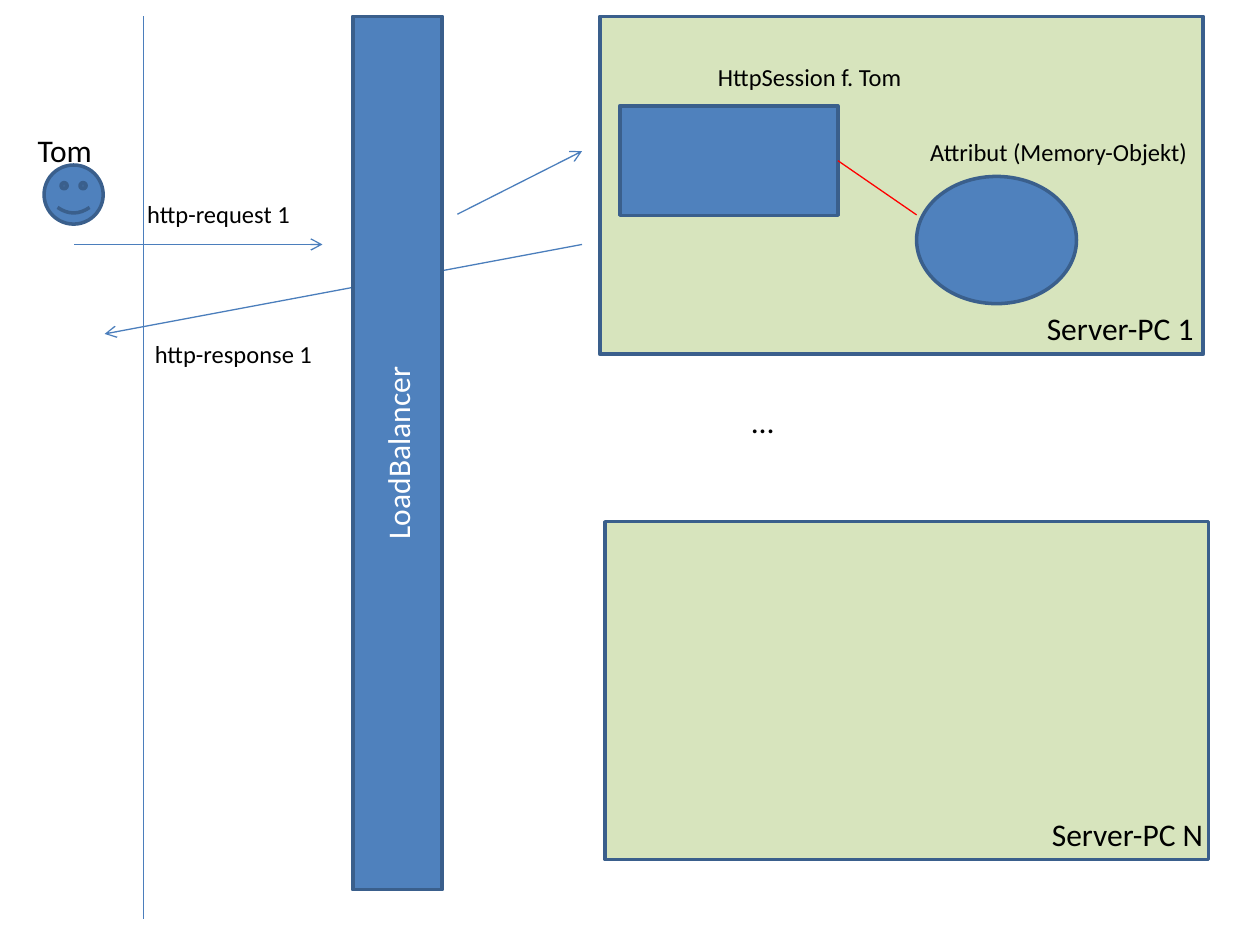
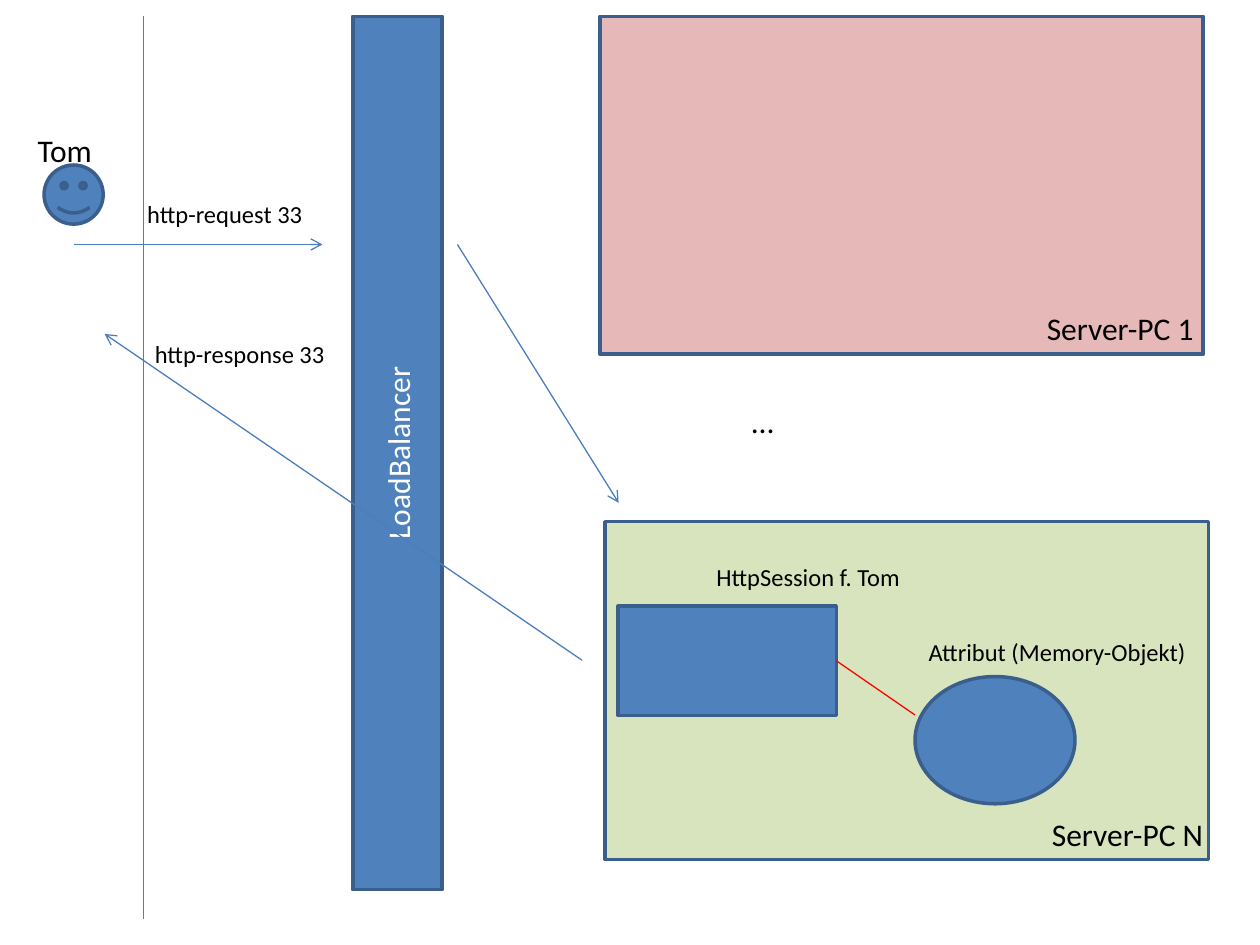
from lxml.etree import SubElement
from pptx import Presentation
from pptx.dml.color import RGBColor
from pptx.enum.shapes import MSO_CONNECTOR, MSO_SHAPE
from pptx.enum.text import MSO_ANCHOR, MSO_AUTO_SIZE, PP_ALIGN
from pptx.oxml.ns import qn
from pptx.util import Pt

BLUE = "4F81BD"
OUTLINE = "3A5F8C"
LINE = "4B7EBC"
GREEN = "D7E4BD"
PINK = "E6B9B8"
RED = "FF0000"
BLACK = "000000"
WHITE = "FFFFFF"

SERVER_SIZE = (344.9, 193)
SERVER_ONE = (342.7, 9.4)
SERVER_N = (345.6, 298.1)
RESPONSE_END = (59.8, 190.8)
SMALL, LARGE = 14, 18
LABEL_HEIGHT = {SMALL: 24.5, LARGE: 28.8}


def color(value):
    return RGBColor.from_string(value)


def set_values(target, values):
    for name, value in values.items():
        setattr(target, name, value)


def add_block(slide, kind, position, size, fill):
    shape = slide.shapes.add_shape(kind, *map(Pt, position + size))
    shape.shadow.inherit = False
    shape.fill.solid()
    shape.fill.fore_color.rgb = color(fill)
    shape.line.color.rgb = color(OUTLINE)
    shape.line.width = Pt(2)
    return shape


def write(text_frame, text, size, text_color, frame_values):
    set_values(text_frame, frame_values)
    paragraph = text_frame.paragraphs[0]
    run = paragraph.add_run()
    run.text = text
    set_values(run.font, {"name": "Calibri", "size": Pt(size)})
    run.font.color.rgb = color(text_color)
    return paragraph


def add_label(slide, text, position, width, size=SMALL):
    box = slide.shapes.add_textbox(*map(Pt, position + (width, LABEL_HEIGHT[size])))
    write(box.text_frame, text, size, BLACK,
          {"word_wrap": False, "auto_size": MSO_AUTO_SIZE.SHAPE_TO_FIT_TEXT})


def add_line(slide, start, end, line_color=LINE, arrow=False):
    connector = slide.shapes.add_connector(
        MSO_CONNECTOR.STRAIGHT, *map(Pt, start + end))
    connector.line.color.rgb = color(line_color)
    connector.line.width = Pt(0.75)
    if arrow:
        SubElement(connector.line._get_or_add_ln(), qn("a:tailEnd"), type="arrow")
    SubElement(connector.element.spPr, qn("a:effectLst"))


def add_servers(slide, first_fill):
    add_block(slide, MSO_SHAPE.RECTANGLE, SERVER_ONE, SERVER_SIZE, first_fill)
    add_block(slide, MSO_SHAPE.RECTANGLE, SERVER_N, SERVER_SIZE, GREEN)
    add_label(slide, "Server-PC 1", (591.1, 172.8), 100, LARGE)
    add_label(slide, "Server-PC N", (594, 462.2), 102.2, LARGE)
    add_label(slide, "…", (422.6, 226.1), 27.4, LARGE)


def add_client(slide, number, label_widths):
    request_width, response_width = label_widths
    add_line(slide, (82.1, 9.4), (82.1, 524.9))
    add_block(slide, MSO_SHAPE.SMILEY_FACE, (25.2, 94.3), (33.8, 33.8), BLUE)
    add_label(slide, "Tom", (14.4, 71.3), 46.1, LARGE)
    add_line(slide, (42.5, 139.7), (184.3, 139.7), arrow=True)
    add_label(slide, f"http-request {number}", (77, 110.2), request_width)
    add_label(slide, f"http-response {number}", (81.4, 190.1), response_width)


def add_session(slide, left, top):
    add_block(slide, MSO_SHAPE.RECTANGLE, (left, top), (124.6, 62.6), BLUE)
    add_label(slide, "HttpSession f. Tom", (left + 49, top - 28.8), 120.2)
    add_block(slide, MSO_SHAPE.OVAL, (left + 169.6, top + 40.3), (91.4, 72.7), BLUE)
    add_label(slide, "Attribut (Memory-Objekt)", (left + 170.3, top + 14.4), 163.4)
    add_line(slide, (left + 124.6, top + 31.3), (left + 169.6, top + 62.3), RED)


def add_balancer(slide):
    shape = add_block(slide, MSO_SHAPE.RECTANGLE, (201.6, 9.4), (51.1, 499), BLUE)
    paragraph = write(shape.text_frame, "LoadBalancer", LARGE, WHITE,
                      {"vertical_anchor": MSO_ANCHOR.MIDDLE})
    paragraph.alignment = PP_ALIGN.CENTER
    shape.element.txBody.bodyPr.set("vert", "vert270")


def build_first_request(slide):
    add_servers(slide, GREEN)
    add_client(slide, 1, (97.2, 105.8))
    add_session(slide, 354.2, 60.5)
    add_line(slide, (332.6, 139.7), RESPONSE_END, arrow=True)
    add_balancer(slide)
    add_line(slide, (261.4, 122.4), (332.6, 86.4), arrow=True)


def build_failover_request(slide):
    add_servers(slide, PINK)
    add_client(slide, 33, (104.4, 113))
    add_session(slide, 353.3, 346.3)
    add_balancer(slide)
    add_line(slide, (332.6, 377.3), RESPONSE_END, arrow=True)
    add_line(slide, (261.4, 139.7), (353.5, 287.3), arrow=True)


def main():
    presentation = Presentation()
    set_values(presentation, {"slide_width": Pt(720), "slide_height": Pt(540)})
    blank_layout = presentation.slide_layouts[6]
    for build in (build_first_request, build_failover_request):
        build(presentation.slides.add_slide(blank_layout))
    presentation.save("out.pptx")


main()
